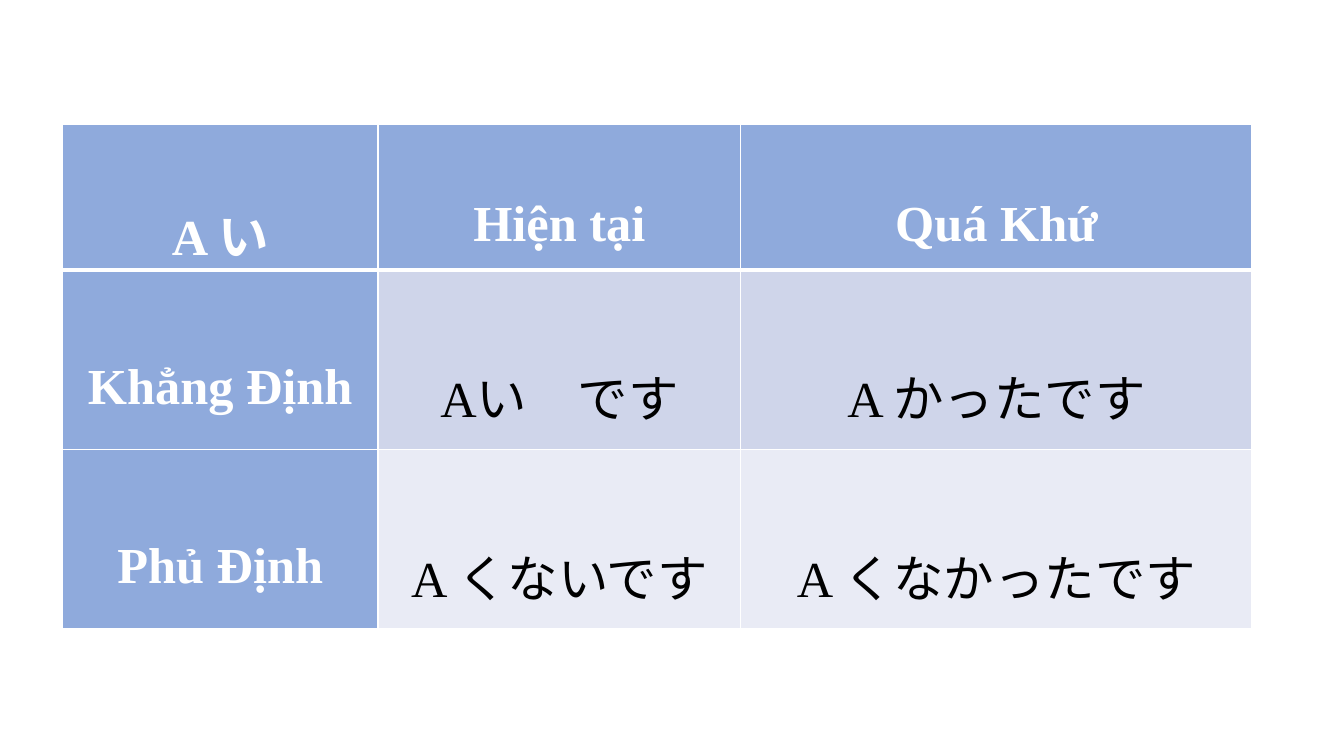
import dataclasses

import lxml.etree
import pptx
import pptx.dml.color
import pptx.enum.text
import pptx.oxml.ns
import pptx.util

SLIDE_WIDTH = pptx.util.Inches(13.33)
SLIDE_HEIGHT = pptx.util.Inches(7.5)

# Grid, in percent of the slide's width and height
LEFT, TOP = 4.65, 16.4
COLUMNS = (23.48, 27, 38.03)
ROWS = (11.07, 23.73, 23.73)

LATIN, JAPANESE = "Times New Roman", "Noto Sans CJK JP"
WHITE, BLACK, HEADING_BLUE = "FFFFFF", "000000", "8FAADC"
BODY_FILLS = ("CFD5EA", "E9EBF5")

CELL_FORMAT = {
    "vertical_anchor": pptx.enum.text.MSO_ANCHOR.MIDDLE,
    "margin_left": pptx.util.Inches(0.07),
    "margin_right": pptx.util.Inches(0.07),
    "margin_top": 0,
    "margin_bottom": 0,
}
PARAGRAPH_FORMAT = {
    "alignment": pptx.enum.text.PP_ALIGN.CENTER,
    "line_spacing": 2.0,
}


@dataclasses.dataclass(frozen=True)
class Span:
    text: str
    font: str = LATIN


@dataclasses.dataclass(frozen=True)
class Entry:
    spans: tuple[Span, ...]
    heading: bool = False


def heading(text: str) -> Entry:
    return Entry((Span(text),), heading=True)


def adjective(stem: str, ending: str) -> Entry:
    return Entry((Span(stem), Span(ending, JAPANESE)))


CONJUGATION = (
    (heading("A い"), heading("Hiện tại"), heading("Quá Khứ")),
    (heading("Khẳng Định"), adjective("A", "い　です"), adjective("A ", "かったです")),
    (heading("Phủ Định"), adjective("A ", "くないです"), adjective("A ", "くなかったです")),
)


def across(percent: float) -> int:
    return round(SLIDE_WIDTH * percent / 100)


def down(percent: float) -> int:
    return round(SLIDE_HEIGHT * percent / 100)


def color(value: str) -> pptx.dml.color.RGBColor:
    return pptx.dml.color.RGBColor.from_string(value)


def apply(target: object, values: dict) -> None:
    for name, value in values.items():
        setattr(target, name, value)


def add_span(para, span: Span, is_heading: bool) -> None:
    run = para.add_run()
    run.text = span.text
    run.font.color.rgb = color(WHITE if is_heading else BLACK)
    apply(run.font, {"size": pptx.util.Pt(36), "bold": is_heading, "name": span.font})
    east_asian = lxml.etree.SubElement(run.font._element, pptx.oxml.ns.qn("a:ea"))
    east_asian.set("typeface", JAPANESE)


def add_borders(cell, row: int) -> None:
    widths = {"L": 1, "R": 1, "T": 3 if row == 1 else 1, "B": 3 if row == 0 else 1}
    properties = cell._tc.get_or_add_tcPr()
    # Border lines come before the fill
    for position, (side, width) in enumerate(widths.items()):
        line = lxml.etree.Element(pptx.oxml.ns.qn(f"a:ln{side}"), w=str(pptx.util.Pt(width)))
        fill = lxml.etree.SubElement(line, pptx.oxml.ns.qn("a:solidFill"))
        lxml.etree.SubElement(fill, pptx.oxml.ns.qn("a:srgbClr"), val=WHITE)
        properties.insert(position, line)


def fill_cell(cell, entry: Entry, row: int) -> None:
    apply(cell, CELL_FORMAT)
    cell.fill.solid()
    cell.fill.fore_color.rgb = color(HEADING_BLUE if entry.heading else BODY_FILLS[row - 1])
    add_borders(cell, row)
    para = cell.text_frame.paragraphs[0]
    apply(para, PARAGRAPH_FORMAT)
    for span in entry.spans:
        add_span(para, span, entry.heading)


def add_conjugation_table(page) -> None:
    frame = page.shapes.add_table(
        len(ROWS), len(COLUMNS),
        across(LEFT), down(TOP), across(sum(COLUMNS)), down(sum(ROWS)),
    )
    table = frame.table
    for column, share in zip(table.columns, COLUMNS):
        column.width = across(share)
    for row, share in zip(table.rows, ROWS):
        row.height = down(share)
    for row, entries in enumerate(CONJUGATION):
        for column, entry in enumerate(entries):
            fill_cell(table.cell(row, column), entry, row)


def main() -> None:
    deck = pptx.Presentation()
    apply(deck, {"slide_width": SLIDE_WIDTH, "slide_height": SLIDE_HEIGHT})
    # The blank layout has no title or body
    page = deck.slides.add_slide(deck.slide_layouts[6])
    add_conjugation_table(page)
    deck.save("out.pptx")


if __name__ == "__main__":
    main()
